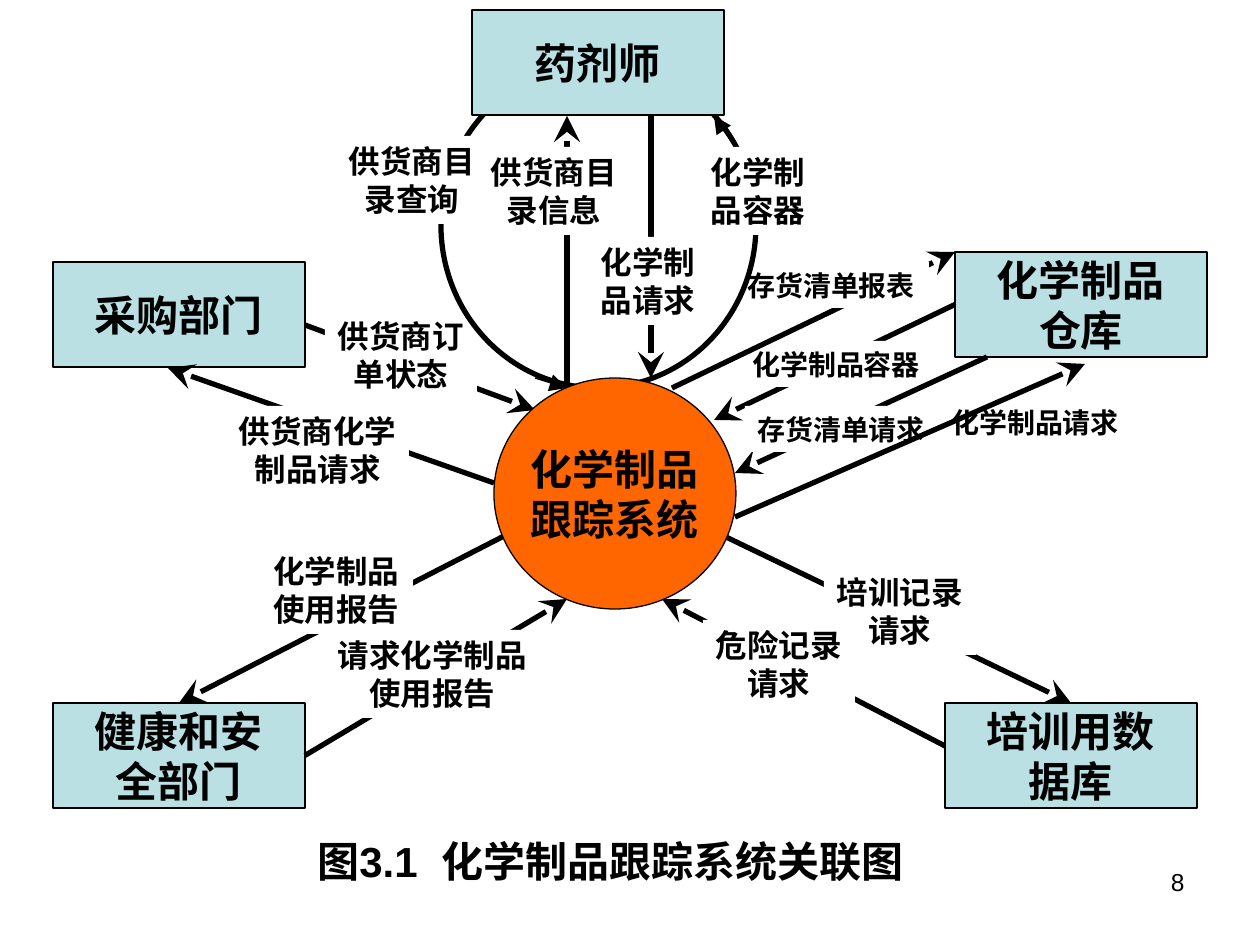
from lxml import etree
from pptx import Presentation
from pptx import util as u
from pptx.dml.color import RGBColor
from pptx.enum import shapes, text
from pptx.oxml.ns import qn

SCALE = u.Inches(1) / 126
BLACK, WHITE, BLUE, ORANGE = "000000", "FFFFFF", "BBE0E3", "FF6600"
LEFT, CENTER, RIGHT = text.PP_ALIGN.LEFT, text.PP_ALIGN.CENTER, text.PP_ALIGN.RIGHT
RECT, OVAL = shapes.MSO_SHAPE.RECTANGLE, shapes.MSO_SHAPE.OVAL
TOP_SIDE, LEFT_SIDE, RIGHT_SIDE = 0, 1, 3


def px(n):
    return u.Emu(round(n * SCALE))


def color(value):
    return RGBColor.from_string(value)


def write(tf, content, size=24, bold=True, align=CENTER, wrap=False, grow=False,
          anchor=text.MSO_ANCHOR.TOP):
    tf.word_wrap = wrap
    tf.vertical_anchor = anchor
    tf.auto_size = text.MSO_AUTO_SIZE.SHAPE_TO_FIT_TEXT if grow else text.MSO_AUTO_SIZE.NONE
    for i, line in enumerate(content.split("\n")):
        p = tf.paragraphs[0] if i == 0 else tf.add_paragraph()
        p.alignment = align
        r = p.add_run()
        r.text = line
        r.font.name = "Arial"
        r.font.size = u.Pt(size)
        r.font.bold = bold
        r.font.color.rgb = color(BLACK)


class Diagram:
    def __init__(self, s):
        self.s = s

    def shape(self, kind, x, y, w, h, fill=None, line=None):
        sp = self.s.shapes.add_shape(kind, px(x), px(y), px(w), px(h))
        sp.shadow.inherit = False
        if fill:
            sp.fill.solid()
            sp.fill.fore_color.rgb = color(fill)
        else:
            sp.fill.background()
        if line:
            sp.line.color.rgb = color(BLACK)
            sp.line.width = u.Pt(line)
        else:
            sp.line.fill.background()
        return sp

    def node(self, content, x, y, w=252, h=105, kind=RECT, fill=BLUE):
        sp = self.shape(kind, x, y, w, h, fill, 0.75)
        write(sp.text_frame, content, anchor=text.MSO_ANCHOR.MIDDLE)
        return sp

    def label(self, content, x, y, size=18, align=CENTER):
        lines = content.split("\n")
        w = int(max(map(len, lines)) * size * 1.75) + 26
        h = int(len(lines) * size * 2.1) + 13
        sp = self.shape(RECT, x, y, w, h, WHITE)
        write(sp.text_frame, content, size=size, align=align, grow=True)

    def arrow(self, x1, y1, x2, y2, begin=None, end=None, width=3, head="stealth"):
        c = self.s.shapes.add_connector(
            shapes.MSO_CONNECTOR.STRAIGHT, px(x1), px(y1), px(x2), px(y2))
        c.line.color.rgb = color(BLACK)
        c.line.width = u.Pt(width)
        etree.SubElement(c.line._get_or_add_ln(), qn("a:tailEnd"), type=head, w="lg", len="lg")
        etree.SubElement(c._element.spPr, qn("a:effectLst"))
        if begin:
            c.begin_connect(*begin)
        if end:
            c.end_connect(*end)

    def textbox(self, content, x, y, w, h, **style):
        sp = self.s.shapes.add_textbox(px(x), px(y), px(w), px(h))
        write(sp.text_frame, content, wrap=True, **style)
        return sp


def main():
    prs = Presentation()
    prs.slide_width, prs.slide_height = px(1260), px(945)
    d = Diagram(prs.slides.add_slide(prs.slide_layouts[6]))

    warehouse = d.node("化学制品\n仓库", 955, 252)
    d.node("采购部门", 53, 262)
    health = d.node("健康和安\n全部门", 53, 703)
    training = d.node("培训用数\n据库", 945, 703)

    d.arrow(504, 536, 179, 703, end=(health, TOP_SIDE))
    d.label("化学制品\n使用报告", 261, 546, align=LEFT)
    d.arrow(305, 756, 567, 599, begin=(health, RIGHT_SIDE))
    d.label("请求化学制品\n使用报告", 325, 630)

    d.arrow(724, 536, 1071, 703, end=(training, TOP_SIDE))
    d.arrow(945, 746, 662, 599)
    d.label("培训记录\n请求", 824, 567)
    d.label("危险记录\n请求", 703, 620)

    d.arrow(494, 483, 168, 368)
    d.arrow(305, 325, 535, 410)
    d.label("供货商订\n单状态", 325, 311)
    d.label("供货商化学\n制品请求", 226, 406)

    d.arrow(955, 305, 714, 420, begin=(warehouse, LEFT_SIDE))
    d.label("化学制品容器", 740, 341, size=16, align=LEFT)
    d.arrow(672, 388, 955, 252)
    d.arrow(987, 357, 735, 473)
    for content, x, y in (("存货清单报表", 735, 262), ("存货清单请求", 745, 406),
                          ("化学制品请求", 939, 399)):
        d.label(content, x, y, size=16, align=LEFT)

    d.arrow(567, 388, 567, 116)
    d.arrow(651, 116, 651, 378)
    d.shape(OVAL, 441, 63, 315, 325, line=3)
    d.node("药剂师", 472, 10)
    d.node("化学制品\n跟踪系统", 494, 378, 242, 231, kind=OVAL, fill=ORANGE)
    d.arrow(535, 378, 567, 388, width=0.75, head="triangle")
    d.arrow(735, 147, 714, 116, width=0.75, head="triangle")
    for content, x, y in (("供货商目\n录查询", 336, 136), ("供货商目\n录信息", 478, 147),
                          ("化学制\n品请求", 588, 237), ("化学制\n品容器", 698, 147)):
        d.label(content, x, y)

    d.textbox("图3.1  化学制品跟踪系统关联图", 305, 829, 614, 63, align=LEFT, grow=True)
    d.textbox("8", 903, 861, 294, 65, size=14, bold=False, align=RIGHT)
    d.arrow(735, 517, 1085, 364)

    prs.save("out.pptx")


if __name__ == "__main__":
    main()
